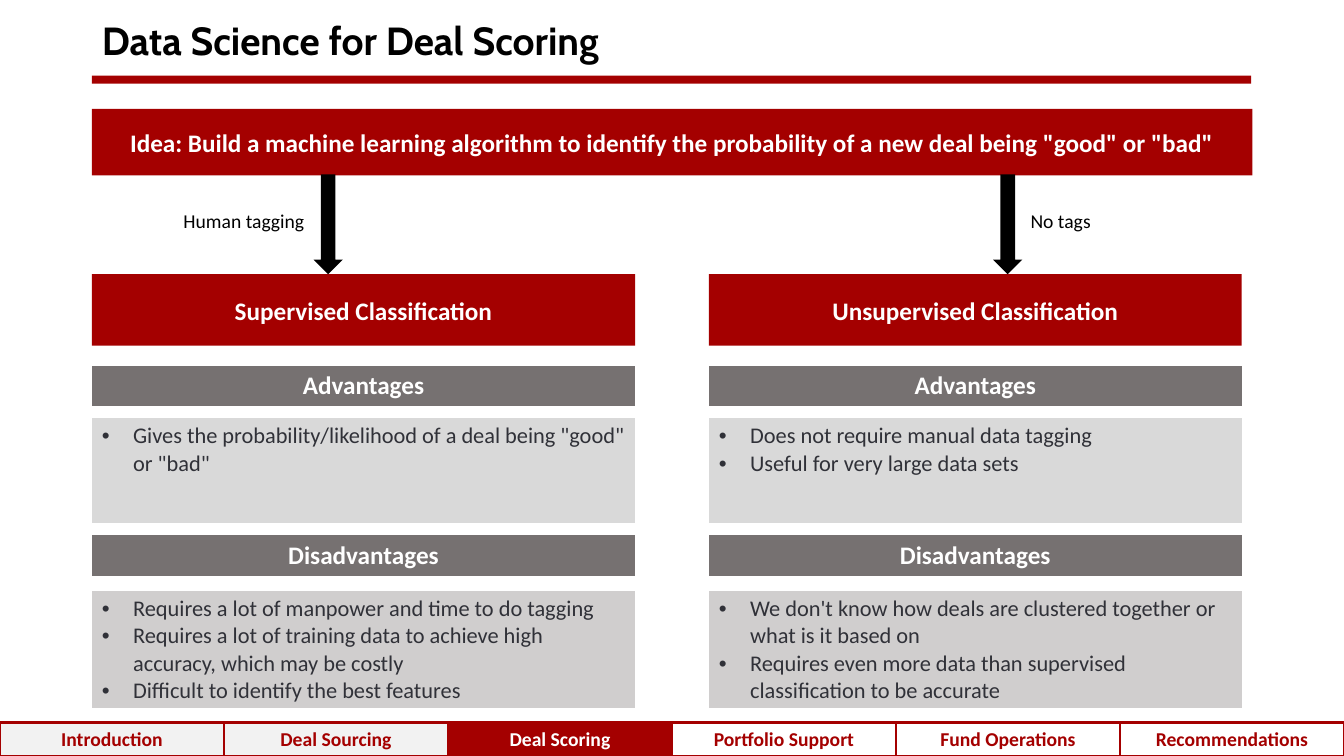
from lxml.etree import SubElement
from pptx import Presentation
from pptx.dml.color import RGBColor
from pptx.enum.shapes import MSO_SHAPE as Preset
from pptx.enum.text import MSO_ANCHOR as Anchor, MSO_AUTO_SIZE as AutoSize, PP_ALIGN as Align
from pptx.oxml.ns import qn
from pptx.util import Inches, Pt

TITLE = "Data Science for Deal Scoring"
IDEA = 'Idea: Build a machine learning algorithm to identify the probability of a new deal being "good" or "bad"'
METHODS = [
    {
        "name": "Supervised Classification",
        "tag": "Human tagging",
        "advantages": ['Gives the probability/likelihood of a deal being "good" or "bad"'],
        "disadvantages": [
            "Requires a lot of manpower and time to do tagging",
            "Requires a lot of training data to achieve high accuracy, which may be costly",
            "Difficult to identify the best features",
        ],
        "left": 6.83, "width": 40.44, "arrow": 23.33, "label": (10.8, 14.7),
    },
    {
        "name": "Unsupervised Classification",
        "tag": "No tags",
        "advantages": ["Does not require manual data tagging", "Useful for very large data sets"],
        "disadvantages": [
            "We don't know how deals are clustered together or what is it based on",
            "Requires even more data than supervised classification to be accurate",
        ],
        "left": 52.74, "width": 39.65, "arrow": 73.89, "label": (67.67, 22.5),
    },
]
SECTIONS = [
    ("Introduction", "visited"), ("Deal Sourcing", "visited"), ("Deal Scoring", "current"),
    ("Portfolio Support", "ahead"), ("Fund Operations", "ahead"), ("Recommendations", "ahead"),
]
ROW_SHARES = [5.36, 1.6, 13.87, 1.6, 5.36, 2, 15.5]

THEME = {
    "red": "A40000", "black": "000000", "white": "FFFFFF", "heading": "767171",
    "advantages": "D9D9D9", "disadvantages": "D0CECE", "list": "303138", "visited": "F2F2F2",
    "title_size": 28, "heading_size": 18, "list_size": 16, "small_size": 14, "gap_size": 4,
    "title_font": "Cabin", "body_font": "Calibri", "border": 2.25,
    "plain_table": "{2D5ABB26-0587-4C30-8999-92F81FD0307C}",
}
NAVIGATION = {"visited": ("visited", "red"), "current": ("red", "white"), "ahead": ("white", "red")}

presentation = Presentation()
presentation.slide_width, presentation.slide_height = Inches(13.33), Inches(7.5)
slide = presentation.slides.add_slide(presentation.slide_layouts[5])


def across(share):
    return round(presentation.slide_width * share / 100)


def down(share):
    return round(presentation.slide_height * share / 100)


def place(left, top, width, height):
    return across(left), down(top), across(width), down(height)


def assign(target, values):
    for name, value in values.items():
        setattr(target, name, value)


def color(name):
    return RGBColor.from_string(THEME[name])


def paint(fill, name):
    fill.solid()
    fill.fore_color.rgb = color(name)


def write(frame, lines, size, ink, bold=False, align=Align.CENTER, font="body_font"):
    for index, line in enumerate(lines):
        paragraph = frame.paragraphs[0] if index == 0 else frame.add_paragraph()
        paragraph.alignment = align
        run = paragraph.add_run()
        run.text = line
        assign(run.font, {"name": THEME[font], "size": Pt(THEME[size]), "bold": bold})
        run.font.color.rgb = color(ink)


def add_block(preset, box, fill, text=None):
    shape = slide.shapes.add_shape(preset, *place(*box))
    shape.shadow.inherit = False
    paint(shape.fill, fill)
    shape.line.fill.background()
    if text:
        assign(shape.text_frame, {"word_wrap": True, "vertical_anchor": Anchor.MIDDLE})
        write(shape.text_frame, [text], "heading_size", "white", True)


def add_grid(rows, columns, box):
    table = slide.shapes.add_table(rows, columns, *place(*box)).table
    assign(table, {"first_row": False, "horz_banding": False})
    table._tbl.tblPr.find(qn("a:tableStyleId")).text = THEME["plain_table"]
    return table


def fill_cell(cell, fill, lines, size, ink, bold=True, align=Align.CENTER, anchor=Anchor.MIDDLE):
    paint(cell.fill, fill)
    assign(cell, {"margin_top": Inches(0.04), "margin_bottom": Inches(0.04), "vertical_anchor": anchor})
    write(cell.text_frame, lines, size, ink, bold, align)


def fill_list(cell, fill, lines):
    fill_cell(cell, fill, lines, "list_size", "list", False, Align.LEFT, Anchor.TOP)
    indent = Inches(0.31)
    for paragraph in cell.text_frame.paragraphs:
        properties = paragraph._p.get_or_add_pPr()
        properties.set("marL", str(indent))
        properties.set("indent", str(-indent))
        SubElement(properties, qn("a:buFont"), typeface="Arial")
        SubElement(properties, qn("a:buChar"), char="•")


def empty_cell(cell):
    cell.fill.background()
    assign(cell, {"margin_top": 0, "margin_bottom": 0})
    paragraph = cell.text_frame.paragraphs[0]
    SubElement(paragraph._p, qn("a:endParaRPr"), sz=str(THEME["gap_size"] * 100))


def outline_cell(cell):
    properties = cell._tc.get_or_add_tcPr()
    for index, side in enumerate(("lnL", "lnR", "lnT", "lnB")):
        line = properties.makeelement(qn("a:" + side), {"w": str(Pt(THEME["border"]))})
        SubElement(SubElement(line, qn("a:solidFill")), qn("a:srgbClr"), val=THEME["red"])
        properties.insert(index, line)


def add_title():
    title = slide.shapes.title
    assign(title, dict(zip(("left", "top", "width", "height"), place(6.83, 1.2, 71.57, 8.8))))
    frame = title.text_frame
    assign(frame, {"word_wrap": True, "auto_size": AutoSize.NONE, "vertical_anchor": Anchor.MIDDLE})
    write(frame, [TITLE], "title_size", "black", True, Align.LEFT, "title_font")
    frame.paragraphs[0].line_spacing = 0.9


def add_method(method):
    left, width = method["left"], method["width"]
    add_block(Preset.RECTANGLE, (left, 36.27, width, 9.47), "red", method["name"])
    add_block(Preset.DOWN_ARROW, (method["arrow"], 23.07, 2.18, 13.2), "black")
    label_left, label_width = method["label"]
    label = slide.shapes.add_textbox(*place(label_left, 26.93, label_width, 4.53))
    label.text_frame.word_wrap = True
    write(label.text_frame, [method["tag"]], "small_size", "black")

    table = add_grid(len(ROW_SHARES), 1, (left, 48.4, width, sum(ROW_SHARES)))
    for row, share in zip(table.rows, ROW_SHARES):
        row.height = down(share)
    for first, kind in ((0, "advantages"), (4, "disadvantages")):
        fill_cell(table.cell(first, 0), "heading", [kind.capitalize()], "heading_size", "white")
        fill_list(table.cell(first + 2, 0), kind, method[kind])
    for gap in (1, 3, 5):
        empty_cell(table.cell(gap, 0))


def add_navigation():
    table = add_grid(1, len(SECTIONS), (0, 95.6, 100, 4.4))
    for cell, (name, state) in zip(table.rows[0].cells, SECTIONS):
        fill, ink = NAVIGATION[state]
        fill_cell(cell, fill, [name], "small_size", ink)
        outline_cell(cell)


add_title()
add_block(Preset.RECTANGLE, (6.83, 10, 86.27, 1.07), "red")
add_block(Preset.RECTANGLE, (6.83, 14.4, 86.35, 8.8), "red", IDEA)
for method in METHODS:
    add_method(method)
add_navigation()
presentation.save("out.pptx")
